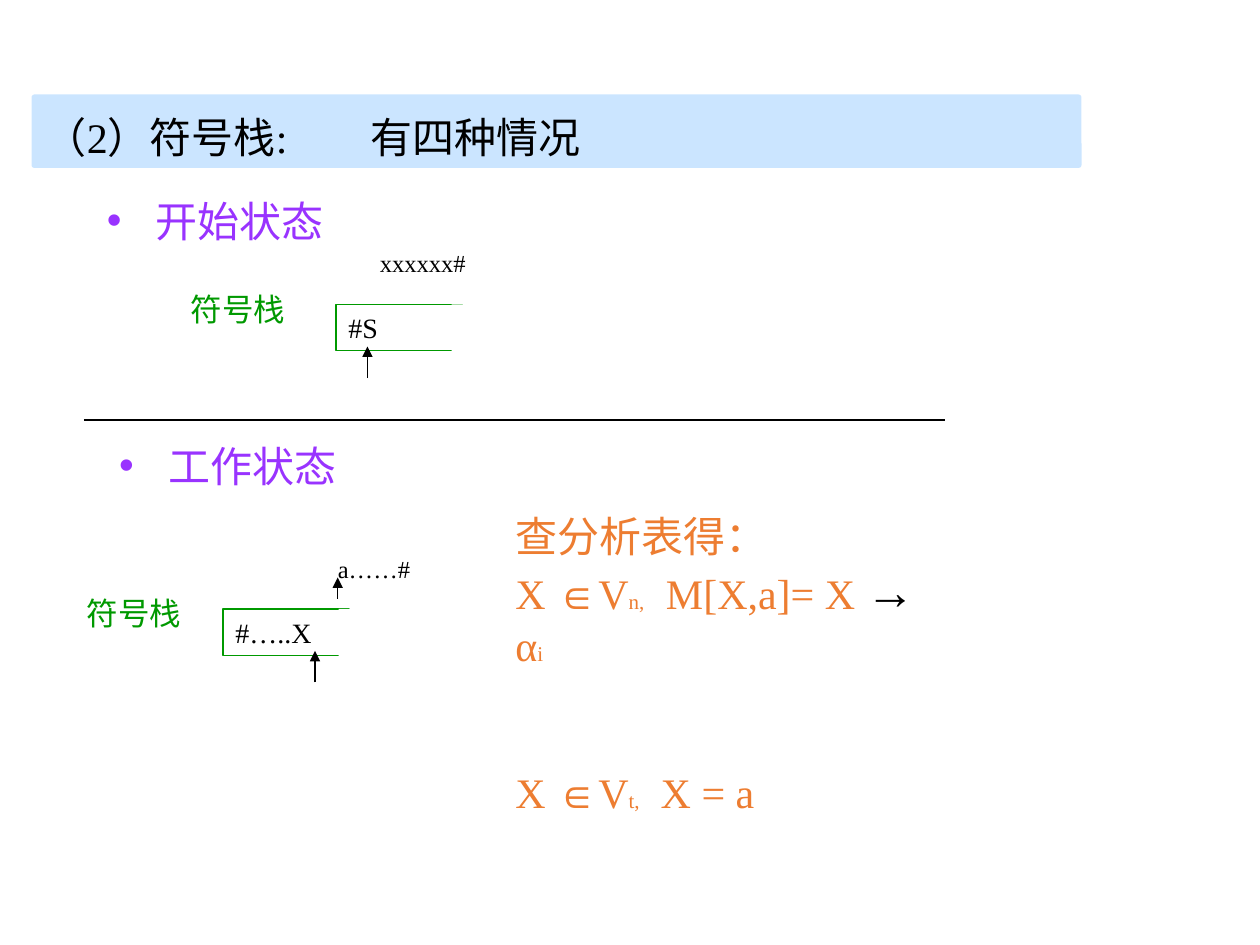
import pptx
import pptx.dml.color
import pptx.enum.dml
import pptx.enum.shapes
import pptx.enum.text
import pptx.oxml
import pptx.oxml.ns
import pptx.util

Pt = pptx.util.Pt
Shapes = pptx.enum.shapes.MSO_SHAPE
Anchor = pptx.enum.text.MSO_ANCHOR
NAMESPACE = pptx.oxml.ns.nsdecls("a")
SERIF = "Times New Roman"
BLACK, WHITE, GREEN = "000000", "FFFFFF", "009900"
PURPLE, ORANGE, BLUE = "9933FF", "ED7D31", "99CCFF"


def color(value):
    return pptx.dml.color.RGBColor.from_string(value)


def element(xml):
    return pptx.oxml.parse_xml(xml.replace(" ", f" {NAMESPACE} ", 1))


def apply_format(target, values):
    for name, value in values.items():
        setattr(target, name, value)


def add_run(paragraph, text, size, ink, font=SERIF):
    run = paragraph.add_run()
    run.text = text
    apply_format(run.font, {"name": font, "size": Pt(size)})
    run.font.color.rgb = color(ink)


def add_tab(paragraph, position):
    paragraph._p.get_or_add_pPr().append(element(
        f'<a:tabLst ><a:tab pos="{Pt(position)}" algn="l"/></a:tabLst>'))


def add_bullet(paragraph, indent, ink):
    properties = paragraph._p.get_or_add_pPr()
    properties.set("marL", str(Pt(indent)))
    properties.set("indent", str(-Pt(indent)))
    for xml in (f'<a:buClr ><a:srgbClr val="{ink}"/></a:buClr>',
                '<a:buFont typeface="Arial"/>',
                '<a:buChar char="•"/>'):
        properties.append(element(xml))


def add_text(slide, box, text, size, ink, wrap=False):
    shape = slide.shapes.add_textbox(*map(Pt, box))
    shape.text_frame.word_wrap = wrap
    paragraph = shape.text_frame.paragraphs[0]
    if text:
        add_run(paragraph, text, size, ink)
    return paragraph


def add_box(slide, kind, box, fill=None, line=None):
    shape = slide.shapes.add_shape(kind, *map(Pt, box))
    shape.shadow.inherit = False
    if fill:
        shape.fill.solid()
        shape.fill.fore_color.rgb = color(fill)
    else:
        shape.fill.background()
    if line:
        shape.line.color.rgb = color(line)
        shape.line.width = Pt(0.75)
    else:
        shape.line.fill.background()
    return shape


def add_line(slide, start, end, arrow=False):
    connector = slide.shapes.add_connector(
        pptx.enum.shapes.MSO_CONNECTOR.STRAIGHT, *map(Pt, (*start, *end)))
    connector.line.color.rgb = color(BLACK)
    connector.line.width = Pt(0.75)
    if arrow:
        connector.line._get_or_add_ln().append(element('<a:tailEnd type="triangle"/>'))
    connector._element.spPr.append(element("<a:effectLst />"))


def title_bar(slide, left, top, width, height):
    shape = add_box(slide, Shapes.ROUNDED_RECTANGLE, (left, top, width, height), BLUE)
    shape.adjustments[0] = 0.04
    solid = shape.fill._xPr.find(pptx.oxml.ns.qn("a:solidFill"))
    solid[0].append(element('<a:alpha val="50000"/>'))
    apply_format(shape.text_frame, {"word_wrap": True, "vertical_anchor": Anchor.MIDDLE})
    paragraph = shape.text_frame.paragraphs[0]
    apply_format(paragraph, {"alignment": pptx.enum.text.PP_ALIGN.LEFT, "line_spacing": 1.2})
    add_tab(paragraph, 186)
    add_run(paragraph, "（2）符号栈:\t有四种情况", 24, BLACK)


def stack_state(slide, left, top, heading, heading_x, stack_x, stack_y, label_x,
                content, queue, queue_box, pointer_x):
    paragraph = add_text(slide, (left + heading_x, top, 142.5, 36), "", 24, PURPLE, True)
    add_bullet(paragraph, 28, PURPLE)
    add_run(paragraph, heading, 24, PURPLE)
    x, y = left + stack_x, top + stack_y
    stack = add_box(slide, Shapes.RECTANGLE, (x, y, 72, 26.5), line=GREEN)
    apply_format(stack.text_frame, {"word_wrap": True, "vertical_anchor": Anchor.TOP})
    paragraph = stack.text_frame.paragraphs[0]
    paragraph.alignment = pptx.enum.text.PP_ALIGN.LEFT
    add_run(paragraph, content, 16, BLACK)
    add_box(slide, Shapes.RECTANGLE, (x + 66, y, 12, 30), WHITE)
    add_line(slide, (x + pointer_x, y + 42), (x + pointer_x, y + 24), True)
    add_text(slide, (left + label_x, y - 12, 68.5, 29), "符号栈", 18, GREEN)
    queue_x, queue_y, queue_width = queue_box
    add_text(slide, (x + queue_x, y + queue_y, queue_width, 24.5), queue, 14, BLACK)


def table_lookup(slide, left, top, width, height):
    first = add_text(slide, (left, top, width, height), "查分析表得：", 24, ORANGE, True)
    frame = first._parent
    expand = frame.add_paragraph()
    add_tab(expand, 86)
    for text, size in (("X ∈V", 24), ("n,\t", 12), ("M[X,a]= X ", 24)):
        add_run(expand, text, size, ORANGE)
    add_run(expand, "→", 28, BLACK, "Arial")
    add_run(expand, " α", 24, ORANGE)
    add_run(expand, "i", 12, ORANGE)
    match = frame.add_paragraph()
    match.space_before = Pt(55)
    add_tab(match, 83)
    for text, size in (("X ∈V", 24), ("t,\t", 12), ("X = a", 24)):
        add_run(match, text, size, ORANGE)


def main():
    presentation = pptx.Presentation()
    apply_format(presentation, {"slide_width": Pt(720), "slide_height": Pt(540)})
    slide = presentation.slides.add_slide(presentation.slide_layouts[6])
    title_bar(slide, 18, 54, 600, 42)
    stack_state(slide, 54, 108, "开始状态", 0, 138, 66, 48,
                "#S", "xxxxxx#", (18, -36, 63.5), 18)
    stack_state(slide, 42, 248, "工作状态", 19, 85.5, 100, 0.5,
                "#…..X", "a……#", (58.5, -35, 55.5), 52.5)
    add_line(slide, (193, 342), (193, 330), True)
    table_lookup(slide, 287.5, 288, 252.5, 156)
    add_line(slide, (48, 240), (540, 240))
    presentation.save("out.pptx")


if __name__ == "__main__":
    main()
